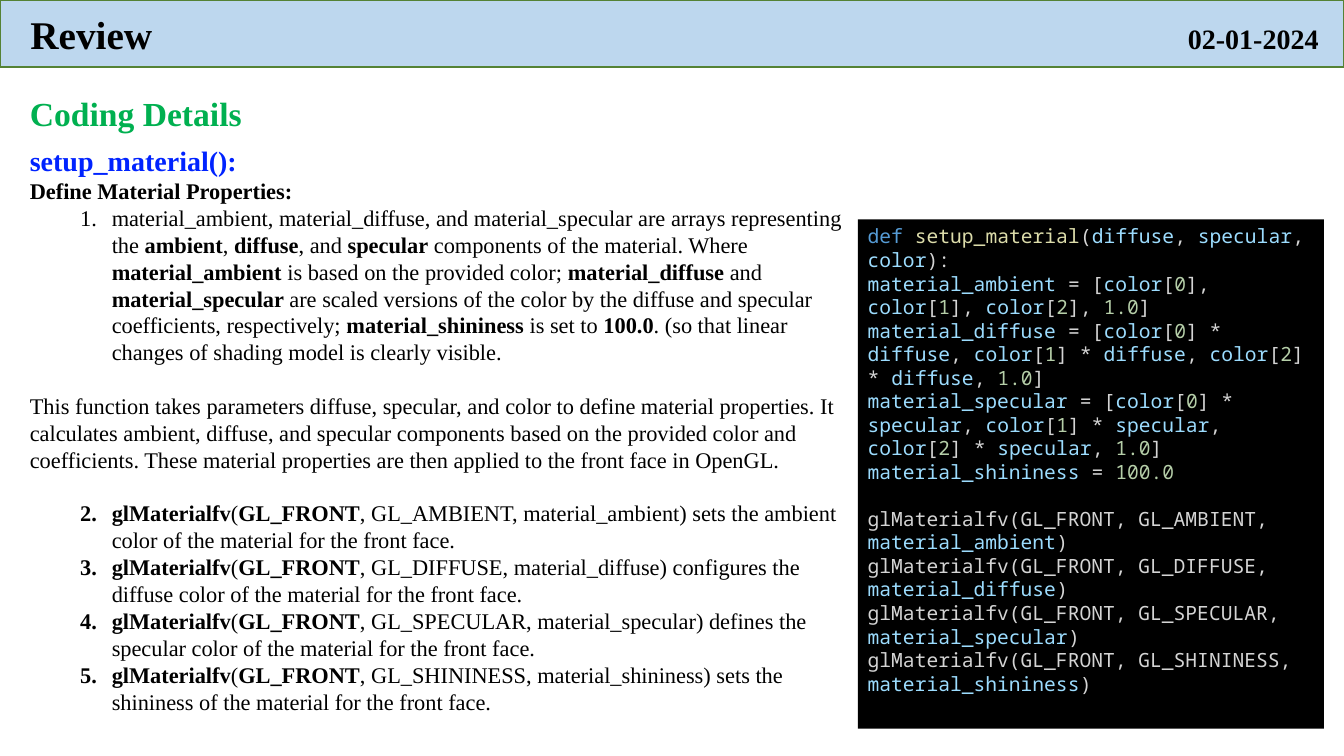
"""Build the review slide on material setup, with notes and a code panel."""
import itertools
import pptx
import pptx.util
import pptx.dml.color
import pptx.enum.shapes
import pptx.enum.text
import pptx.oxml.ns
import lxml.etree

HEADER = ("Review", "02-01-2024")
TITLE = "Coding Details"
FUNCTION = "setup_material():"
SUBHEAD = "**Define Material Properties:**"
ARRAYS = (
    "material_ambient, material_diffuse, and material_specular are arrays representing the "
    "**ambient**, **diffuse**, and **specular** components of the material. Where "
    "**material_ambient **is based on the provided color; **material_diffuse **and "
    "**material_specular **are scaled versions of the color by the diffuse and specular "
    "coefficients, respectively; **material_shininess **is set to **100.0**. "
    "(so that linear changes of shading model is clearly visible."
)
SUMMARY = (
    "This function takes parameters diffuse, specular, and color to define material "
    "properties. It calculates ambient, diffuse, and specular components based on the "
    "provided color and coefficients. These material properties are then applied to the "
    "front face in OpenGL."
)
CALLS = [
    ("GL_AMBIENT, material_ambient", "sets the ambient color"),
    ("GL_DIFFUSE, material_diffuse", "configures the diffuse color"),
    ("GL_SPECULAR, material_specular", "defines the specular color"),
    ("GL_SHININESS, material_shininess", "sets the shininess"),
]
CODE = [
    "def setup_material(diffuse, specular, color):",
    "material_ambient = [color[0], color[1], color[2], 1.0]",
    "material_diffuse = [color[0] * diffuse, color[1] * diffuse, color[2] * diffuse, 1.0]",
    "material_specular = [color[0] * specular, color[1] * specular, color[2] * specular, 1.0]",
    "material_shininess = 100.0",
] + [f"glMaterialfv(GL_FRONT, {args})" for args, _ in CALLS]
FIRST_CALL = len(CODE) - len(CALLS)
VARIABLES = {"diffuse", "specular", "color", "material_ambient", "material_diffuse",
             "material_specular", "material_shininess"}

THEME = {
    "serif": "Times New Roman", "mono": "Noto Sans Mono",
    "header_size": 28, "date_size": 20, "title_size": 24, "function_size": 20,
    "body_size": 16, "code_size": 14, "leading": 1.2,
    "band": "BDD7EE", "band_line": "548235", "text": "000000", "title": "00B050",
    "function": "0023FF", "panel": "000000", "keyword": "569CD6",
    "definition": "DCDCAA", "variable": "9CDCFE", "number": "B5CEA8", "plain": "D4D4D4",
}

EMU_PER_PX = 9525
SLIDE_W, SLIDE_H = 1280, 720
HEADER_BOX = (0, 0, SLIDE_W, 64)
HEADER_LEFT, HEADER_RIGHT = 29, 1256
TITLE_BOX = (19, 84, 692, 48)
BODY_BOX = (19, 132, 798, 554)
CODE_BOX = (817, 209, 444, 485)
LIST_INDENT, LIST_HANG = 78, 30


def px(n):
    return pptx.util.Emu(n * EMU_PER_PX)


def rgb(name):
    return pptx.dml.color.RGBColor.from_string(THEME[name])


def add_box(s, box):
    tf = s.shapes.add_textbox(*map(px, box)).text_frame
    tf.word_wrap = True
    return tf


def add_panel(s, box, fill):
    sp = s.shapes.add_shape(pptx.enum.shapes.MSO_SHAPE.RECTANGLE, *map(px, box))
    sp.shadow.inherit = False
    sp.fill.solid()
    sp.fill.fore_color.rgb = rgb(fill)
    sp.line.fill.background()
    sp.text_frame.word_wrap = True
    return sp


def next_paragraph(tf):
    return tf.paragraphs[0] if not tf.paragraphs[0].runs else tf.add_paragraph()


def fill_paragraph(p, pieces, size, font="serif", gap=False):
    leading = pptx.util.Pt(THEME[size] * THEME["leading"])
    p.alignment = pptx.enum.text.PP_ALIGN.LEFT
    p.line_spacing = leading
    if gap:
        p.space_before = leading
    for text, color, bold in pieces:
        r = p.add_run()
        r.text = text
        r.font.name = THEME[font]
        r.font.size = pptx.util.Pt(THEME[size])
        r.font.bold = bold
        r.font.color.rgb = rgb(color)


def bold_pieces(text):
    parts = enumerate(text.split("**"))
    return [(part, "text", i % 2 == 1) for i, part in parts if part]


def token_color(token):
    if token in VARIABLES:
        return "variable"
    if token[0].isdigit():
        return "number"
    return {"def": "keyword", "setup_material": "definition"}.get(token, "plain")


def code_pieces(line):
    groups = itertools.groupby(line, lambda c: c.isalnum() or c in "_.")
    tokens = ["".join(chars) for _, chars in groups]
    return [("".join(run), color, False)
            for color, run in itertools.groupby(tokens, token_color)]


def add_number(p, start):
    p.level = 1
    pPr = p._p.get_or_add_pPr()
    pPr.set("marL", str(px(LIST_INDENT)))
    pPr.set("indent", str(px(-LIST_HANG)))
    lxml.etree.SubElement(pPr, pptx.oxml.ns.qn("a:buAutoNum"),
                          type="arabicPeriod", startAt=str(start))


def add_header(s):
    sp = add_panel(s, HEADER_BOX, "band")
    sp.line.color.rgb = rgb("band_line")
    sp.line.width = pptx.util.Pt(1)
    tf = sp.text_frame
    tf.margin_left, tf.margin_right = px(HEADER_LEFT), px(10)
    tf.vertical_anchor = pptx.enum.text.MSO_ANCHOR.MIDDLE
    p = tf.paragraphs[0]
    tabs = lxml.etree.SubElement(p._p.get_or_add_pPr(), pptx.oxml.ns.qn("a:tabLst"))
    lxml.etree.SubElement(tabs, pptx.oxml.ns.qn("a:tab"),
                          pos=str(px(HEADER_RIGHT - HEADER_LEFT)), algn="r")
    name, date = HEADER
    fill_paragraph(p, [(name + "\t", "text", True), (date, "text", True)], "header_size")
    p.runs[1].font.size = pptx.util.Pt(THEME["date_size"])


def add_body(s):
    tf = add_box(s, BODY_BOX)
    fill_paragraph(next_paragraph(tf), [(FUNCTION, "function", True)], "function_size")
    calls = [f"**glMaterialfv**(**GL_FRONT**, {args}) {effect} of the material for the front face."
             for args, effect in CALLS]
    rows = [(SUBHEAD, None, False), (ARRAYS, 1, False), (SUMMARY, None, True)]
    rows += [(call, 2, i == 0) for i, call in enumerate(calls)]
    for text, start, gap in rows:
        p = next_paragraph(tf)
        if start:
            add_number(p, start)
        fill_paragraph(p, bold_pieces(text), "body_size", gap=gap)


def add_code(s):
    tf = add_panel(s, CODE_BOX, "panel").text_frame
    tf.vertical_anchor = pptx.enum.text.MSO_ANCHOR.TOP
    for i, line in enumerate(CODE):
        fill_paragraph(next_paragraph(tf), code_pieces(line), "code_size", "mono",
                       gap=i == FIRST_CALL)


def main():
    prs = pptx.Presentation()
    prs.slide_width, prs.slide_height = px(SLIDE_W), px(SLIDE_H)
    s = prs.slides.add_slide(prs.slide_layouts[6])
    fill_paragraph(add_box(s, TITLE_BOX).paragraphs[0], [(TITLE, "title", True)], "title_size")
    add_header(s)
    add_body(s)
    add_code(s)
    prs.save("out.pptx")


if __name__ == "__main__":
    main()
